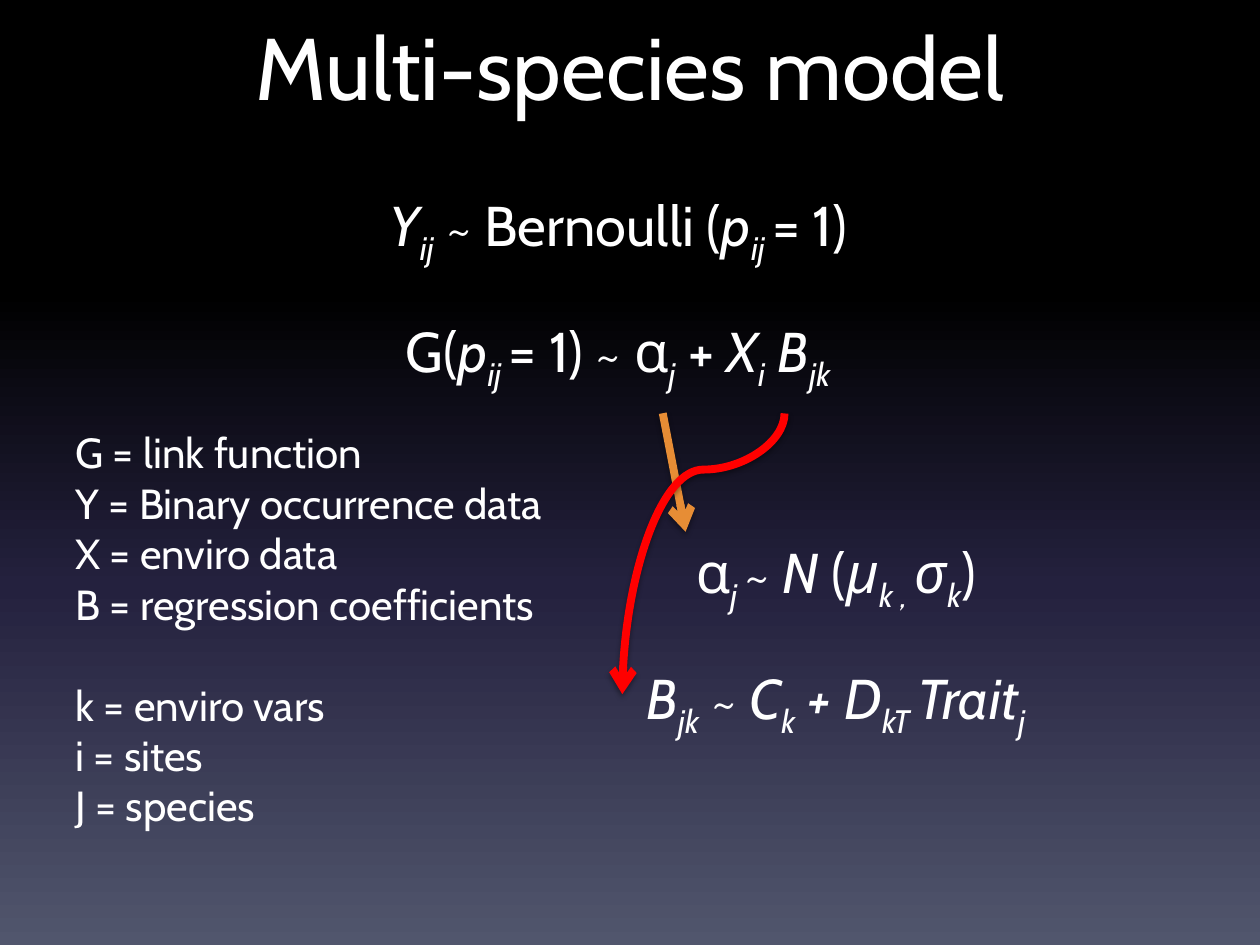
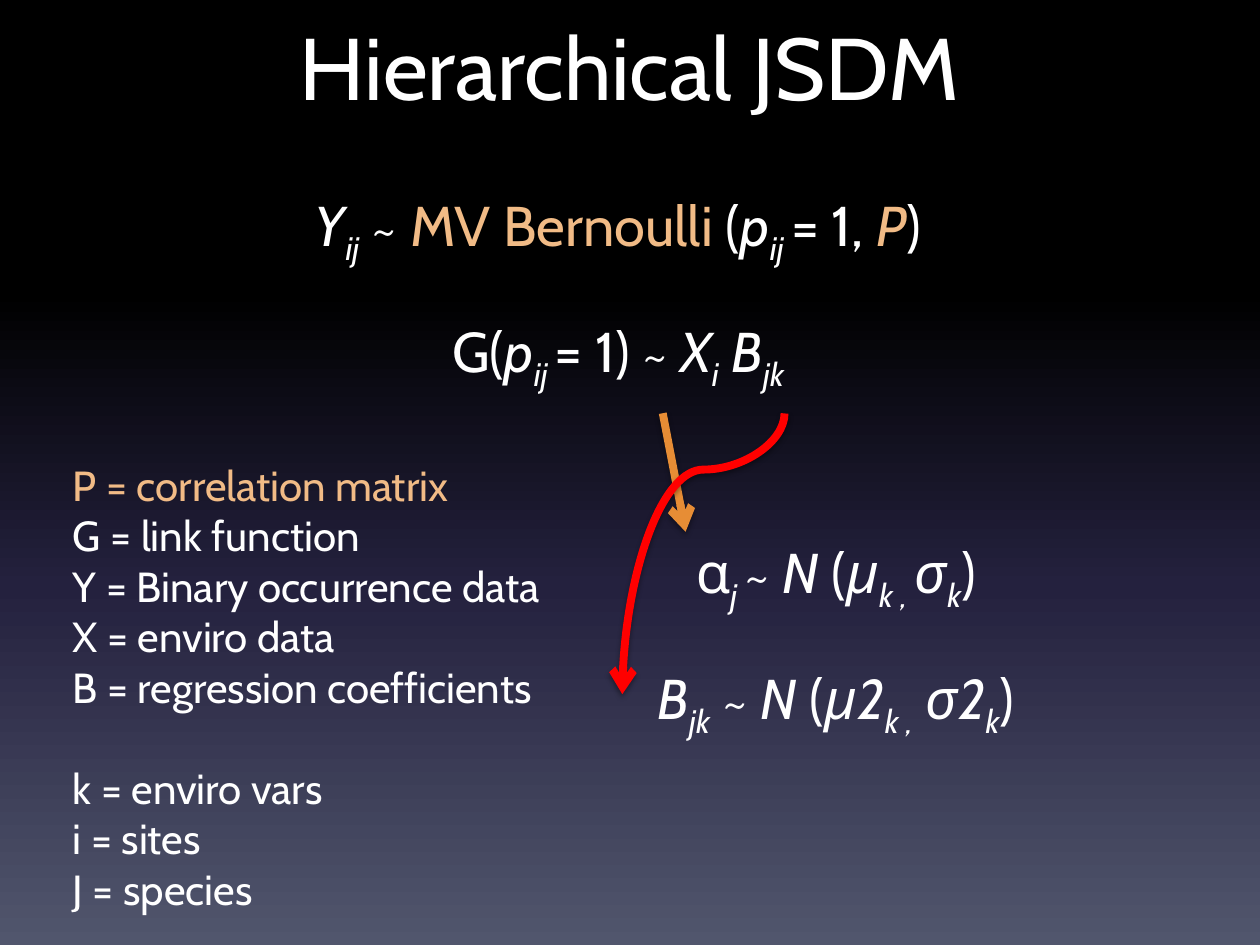
"""Builds two slides that compare a multi-species model with a hierarchical JSDM."""
from copy import deepcopy

from lxml.etree import SubElement
from pptx import Presentation
from pptx.dml.color import RGBColor
from pptx.enum.shapes import MSO_CONNECTOR
from pptx.enum.text import MSO_ANCHOR, MSO_AUTO_SIZE, PP_ALIGN
from pptx.oxml.ns import qn
from pptx.util import Cm, Pt

WHITE = RGBColor(0xFF, 0xFF, 0xFF)
PEACH = RGBColor(0xF1, 0xBB, 0x86)
ORANGE = RGBColor(0xE7, 0x8D, 0x35)
RED = RGBColor(0xFF, 0x00, 0x00)
BLACK = RGBColor(0x00, 0x00, 0x00)
NAVY = RGBColor(0x24, 0x21, 0x3E)
SLATE = RGBColor(0x51, 0x56, 0x6D)

BACKGROUND_STOPS = [(0, BLACK), (0.31, BLACK), (0.62, NAVY), (1, SLATE)]
TITLE_FONT = {"name": "Cabin", "size": Pt(50)}
EQUATION_FONT = {"name": "Cabin", "size": Pt(32)}
LEGEND_FONT = {"name": "Cabin", "size": Pt(24)}
EQUATION_PARAGRAPH = {"alignment": PP_ALIGN.CENTER, "line_spacing": 1.5}
LEGEND_PARAGRAPH = {"alignment": PP_ALIGN.LEFT}

PLAIN = {"italic": False}
ITALIC = {"italic": True}
SUBSCRIPT = {"italic": True, "baseline": "-25000"}
ACCENT = {"italic": False, "color": PEACH}
ACCENT_ITALIC = {"italic": True, "color": PEACH}

Y_TERM = [("Y", ITALIC), ("ij", SUBSCRIPT)]
P_TERM = [("p", ITALIC), ("ij ", SUBSCRIPT)]
B_TERM = [("B", ITALIC), ("jk", SUBSCRIPT)]
X_B_TERM = [("X", ITALIC), ("i", SUBSCRIPT), (" ", ITALIC)] + B_TERM
LINK_TERM = [("G(", PLAIN)] + P_TERM
ALPHA_PRIOR = [
    ("α", PLAIN), ("j ", SUBSCRIPT), ("~ ", PLAIN), ("N", ITALIC), (" (", PLAIN),
    ("μ", ITALIC), ("k , ", SUBSCRIPT), ("σ", ITALIC), ("k", SUBSCRIPT), (")", PLAIN),
]
LEGEND = [
    "G = link function", "Y = Binary occurrence data", "X = enviro data",
    "B = regression coefficients", "k = enviro vars", "i = sites", "J = species",
]

MODELS = [
    {
        "title": "Multi-species model",
        "likelihood": [
            Y_TERM + [(" ~ Bernoulli (", PLAIN)] + P_TERM + [("= 1)", PLAIN)],
            LINK_TERM + [("= 1) ~ α", PLAIN), ("j", SUBSCRIPT), (" + ", PLAIN)] + X_B_TERM,
        ],
        "priors": [
            ALPHA_PRIOR,
            B_TERM + [
                (" ~ ", PLAIN), ("C", ITALIC), ("k", SUBSCRIPT), (" + D", ITALIC),
                ("kT ", SUBSCRIPT), ("Trait", ITALIC), ("j", SUBSCRIPT),
            ],
        ],
        "legend": [[(entry, PLAIN)] for entry in LEGEND],
        "legend_place": (1.27, 8.48, 12, 8.5),
    },
    {
        "title": "Hierarchical JSDM",
        "likelihood": [
            Y_TERM + [(" ~ ", PLAIN), ("MV Bernoulli ", ACCENT), ("(", PLAIN)] + P_TERM
            + [("= 1, ", PLAIN), ("P", ACCENT_ITALIC), (")", PLAIN)],
            LINK_TERM + [("= 1) ~ ", PLAIN)] + X_B_TERM,
        ],
        "priors": [
            ALPHA_PRIOR,
            B_TERM + [
                (" ~ ", PLAIN), ("N", ITALIC), (" (", PLAIN), ("μ2", ITALIC), ("k ,", SUBSCRIPT),
                (" σ2", ITALIC), ("k", SUBSCRIPT), (")", PLAIN),
            ],
        ],
        "legend": [[("P = correlation matrix", ACCENT)]] + [[(entry, PLAIN)] for entry in LEGEND],
        "legend_place": (1.22, 9.14, 12, 9.5),
    },
]


def write_text(shape, place, anchor, paragraphs, paragraph_format, font_format, gap):
    """Place a shape and fill it with paragraphs of styled runs."""
    for name, length in zip(("left", "top", "width", "height"), place):
        setattr(shape, name, Cm(length))
    frame_format = {"word_wrap": True, "auto_size": MSO_AUTO_SIZE.NONE, "vertical_anchor": anchor}
    for name, value in frame_format.items():
        setattr(shape.text_frame, name, value)
    for index, runs in enumerate(paragraphs):
        paragraph = shape.text_frame.add_paragraph() if index else shape.text_frame.paragraphs[0]
        properties = paragraph._p.get_or_add_pPr()
        properties.set("marL", "0")
        properties.set("indent", "0")
        SubElement(properties, qn("a:buNone"))
        for name, value in paragraph_format.items():
            setattr(paragraph, name, value)
        paragraph.space_before = gap if index else Pt(0)
        for text, style in runs:
            run = paragraph.add_run()
            run.text = text
            for name, value in font_format.items():
                setattr(run.font, name, value)
            run.font.italic = style["italic"]
            run.font.color.rgb = style.get("color", WHITE)
            if "baseline" in style:
                run._r.get_or_add_rPr().set("baseline", style["baseline"])


def add_arrow(slide, kind, ends, color):
    """Add a thick arrow with a soft shadow."""
    arrow = slide.shapes.add_connector(kind, *[Cm(length) for length in ends])
    arrow.line.color.rgb = color
    arrow.line.width = Pt(4.5)
    SubElement(arrow.line._get_or_add_ln(), qn("a:tailEnd"), type="arrow")
    effects = SubElement(arrow._element.spPr, qn("a:effectLst"))
    shadow = SubElement(effects, qn("a:outerShdw"), blurRad="40000", dist="20000",
                        dir="5400000", rotWithShape="0")
    shade = SubElement(shadow, qn("a:srgbClr"), val=str(BLACK))
    SubElement(shade, qn("a:alpha"), val="38000")
    return arrow


presentation = Presentation()
presentation.slide_width = Cm(25.4)
presentation.slide_height = Cm(19.05)

background = presentation.slide_master.background.fill
background.gradient()
background.gradient_angle = 270
stop_list = presentation.slide_master.element.xpath(".//p:bg//a:gsLst")[0]
while len(stop_list) < len(BACKGROUND_STOPS):
    stop_list.append(deepcopy(stop_list[0]))
for stop, (position, color) in zip(background.gradient_stops, BACKGROUND_STOPS):
    stop.position = position
    stop.color.rgb = color

for model in MODELS:
    slide = presentation.slides.add_slide(presentation.slide_layouts[1])
    title, likelihood = slide.placeholders
    write_text(title, (1.27, 0.13, 22.86, 3.18), MSO_ANCHOR.TOP, [[(model["title"], PLAIN)]],
               {"alignment": PP_ALIGN.CENTER}, TITLE_FONT, Pt(0))
    write_text(likelihood, (1.27, 2.67, 22.38, 5.66), MSO_ANCHOR.MIDDLE, model["likelihood"],
               EQUATION_PARAGRAPH, EQUATION_FONT, Pt(6.4))

    legend = slide.shapes.add_textbox(0, 0, 0, 0)
    write_text(legend, model["legend_place"], MSO_ANCHOR.TOP, model["legend"],
               LEGEND_PARAGRAPH, LEGEND_FONT, Pt(0))
    legend.text_frame.paragraphs[-3].space_before = Pt(29)

    priors = slide.shapes.add_textbox(0, 0, 0, 0)
    write_text(priors, (9.5, 9.66, 14.7, 5.66), MSO_ANCHOR.MIDDLE, model["priors"],
               EQUATION_PARAGRAPH, EQUATION_FONT, Pt(6.4))

    add_arrow(slide, MSO_CONNECTOR.STRAIGHT, (13.36, 8.33, 13.82, 10.72), ORANGE)
    curve = add_arrow(slide, MSO_CONNECTOR.CURVE, (11.35, 9.53, 17.01, 12.8), RED)
    curve.rotation = 90
    adjustments = curve._element.xpath(".//a:avLst")[0]
    SubElement(adjustments, qn("a:gd"), name="adj1", fmla="val 20000")

presentation.save("out.pptx")
